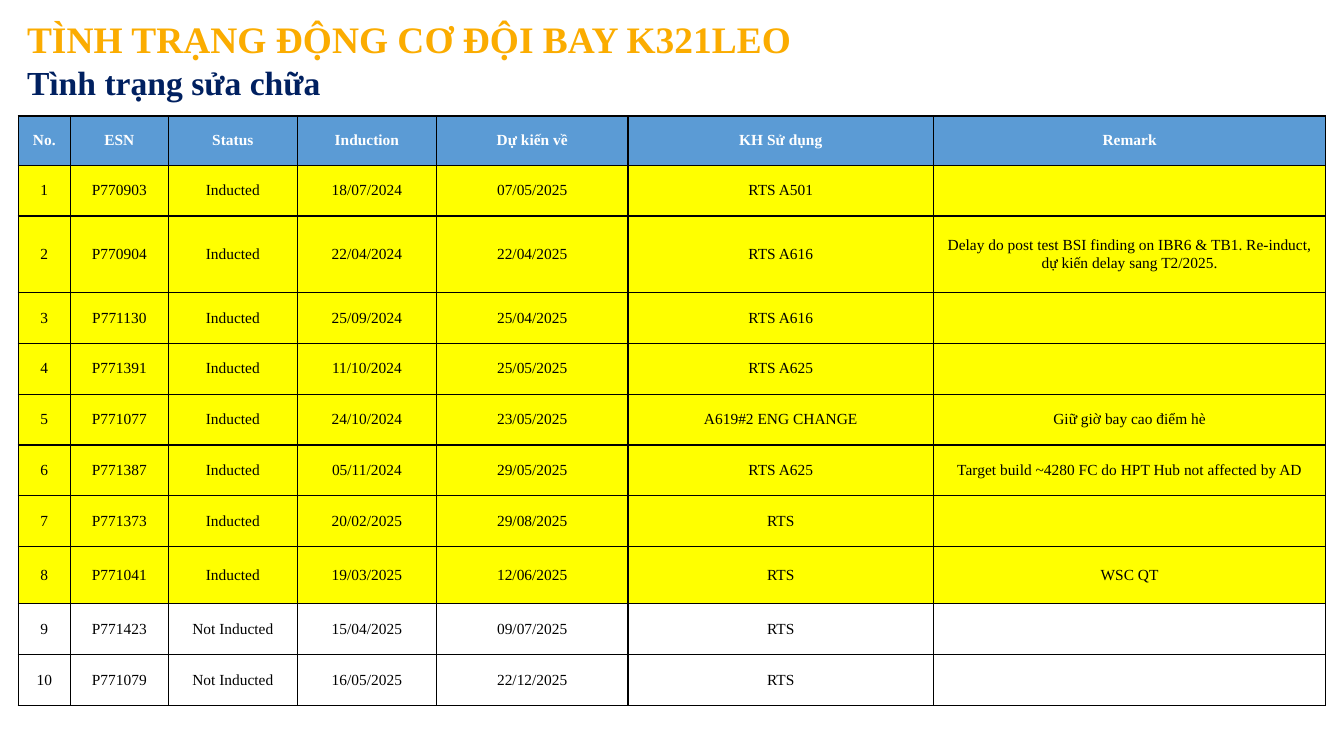
import lxml.etree
import pptx
import pptx.dml.color
import pptx.enum.text
import pptx.oxml.ns
import pptx.util
from pptx.util import Inches

FONT = "Times New Roman"
BLACK, WHITE, BLUE, YELLOW = "000000", "FFFFFF", "5B9BD5", "FFFF00"
NAVY, ORANGE = "002060", "FBAC00"

HEADINGS = ["No.", "ESN", "Status", "Induction", "Dự kiến về", "KH Sử dụng", "Remark"]
# ESN, status, induction, expected return, planned use, remark
ENGINES = [
    ("P770903", "Inducted", "18/07/2024", "07/05/2025", "RTS A501", ""),
    ("P770904", "Inducted", "22/04/2024", "22/04/2025", "RTS A616",
     "Delay do post test BSI finding on IBR6 & TB1. Re-induct, dự kiến delay sang T2/2025."),
    ("P771130", "Inducted", "25/09/2024", "25/04/2025", "RTS A616", ""),
    ("P771391", "Inducted", "11/10/2024", "25/05/2025", "RTS A625", ""),
    ("P771077", "Inducted", "24/10/2024", "23/05/2025", "A619#2 ENG CHANGE",
     "Giữ giờ bay cao điểm hè"),
    ("P771387", "Inducted", "05/11/2024", "29/05/2025", "RTS A625",
     "Target build ~4280 FC do HPT Hub not affected by AD"),
    ("P771373", "Inducted", "20/02/2025", "29/08/2025", "RTS", ""),
    ("P771041", "Inducted", "19/03/2025", "12/06/2025", "RTS", "WSC QT"),
    ("P771423", "Not Inducted", "15/04/2025", "09/07/2025", "RTS", ""),
    ("P771079", "Not Inducted", "16/05/2025", "22/12/2025", "RTS", ""),
]
COLUMN_WIDTHS = [0.52, 0.97, 1.28, 1.38, 1.9, 3.03, 3.89]
TABLE_HEIGHT = 5.85
SPECIAL_ROWS = {0: 0.49, 2: 0.76, 8: 0.57}


def color(value):
    return pptx.dml.color.RGBColor.from_string(value)


def style_font(para, size, value, bold):
    para.font.name = FONT
    para.font.size = pptx.util.Pt(size)
    para.font.bold = bold
    para.font.color.rgb = color(value)


def add_heading(page, text, left, top, width, height, size, value):
    box = page.shapes.add_textbox(Inches(left), Inches(top), Inches(width), Inches(height))
    box.text_frame.word_wrap = True
    para = box.text_frame.paragraphs[0]
    para.text = text
    style_font(para, size, value, True)


def add_borders(cell):
    properties = cell._tc.get_or_add_tcPr()
    for index, side in enumerate(("lnL", "lnR", "lnT", "lnB")):
        line = lxml.etree.Element(pptx.oxml.ns.qn("a:" + side), w=str(pptx.util.Pt(1)))
        fill = lxml.etree.SubElement(line, pptx.oxml.ns.qn("a:solidFill"))
        lxml.etree.SubElement(fill, pptx.oxml.ns.qn("a:srgbClr"), val=BLACK)
        properties.insert(index, line)


def fill_cell(cell, text, fill, value, bold):
    cell.vertical_anchor = pptx.enum.text.MSO_ANCHOR.MIDDLE
    cell.margin_left = cell.margin_right = Inches(0.13)
    cell.margin_top = cell.margin_bottom = Inches(0.07)
    if fill:
        cell.fill.solid()
        cell.fill.fore_color.rgb = color(fill)
    else:
        cell.fill.background()
    para = cell.text_frame.paragraphs[0]
    para.text = text
    para.alignment = pptx.enum.text.PP_ALIGN.CENTER
    style_font(para, 11, value, bold)
    add_borders(cell)


def add_engine_table(page):
    rows = [HEADINGS] + [(str(number), *engine) for number, engine in enumerate(ENGINES, 1)]
    table = page.shapes.add_table(
        len(rows), len(HEADINGS), Inches(0.18), Inches(1.15),
        Inches(sum(COLUMN_WIDTHS)), Inches(TABLE_HEIGHT)).table
    for column, width in zip(table.columns, COLUMN_WIDTHS):
        column.width = Inches(width)

    # Ordinary rows share what the special rows leave
    plain = (TABLE_HEIGHT - sum(SPECIAL_ROWS.values())) / (len(rows) - len(SPECIAL_ROWS))
    for row_index, row in enumerate(rows):
        table.rows[row_index].height = Inches(SPECIAL_ROWS.get(row_index, plain))
        header = row_index == 0
        if header:
            fill = BLUE
        else:
            fill = YELLOW if row[2] == "Inducted" else None
        for column_index, text in enumerate(row):
            fill_cell(table.cell(row_index, column_index), text, fill,
                      WHITE if header else BLACK, header)


def main():
    deck = pptx.Presentation()
    deck.slide_width, deck.slide_height = Inches(13.33), Inches(7.5)
    page = deck.slides.add_slide(deck.slide_layouts[6])

    # Title and subtitle
    add_heading(page, "TÌNH TRẠNG ĐỘNG CƠ ĐỘI BAY K321LEO", 0.17, 0.11, 13, 0.55, 26.7, ORANGE)
    add_heading(page, "Tình trạng sửa chữa", 0.17, 0.57, 4.67, 0.5, 24, NAVY)

    # Engine repair status
    add_engine_table(page)
    deck.save("out.pptx")


if __name__ == "__main__":
    main()
